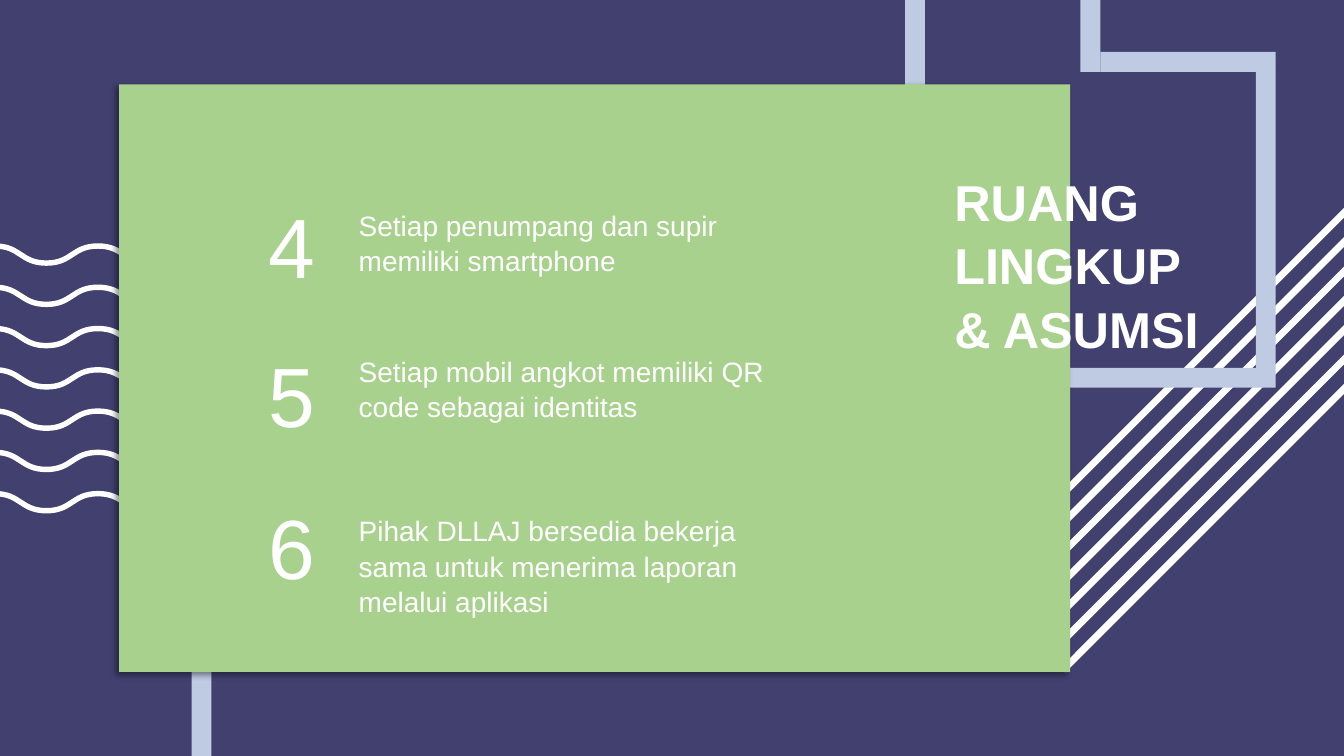
import lxml.etree
import pptx
import pptx.dml.color
import pptx.enum.shapes
import pptx.enum.text
import pptx.oxml.ns
import pptx.util

Cm = pptx.util.Cm
qn = pptx.oxml.ns.qn

NAVY = "42406F"
GREEN = "A9D18E"
PALE_BLUE = "BECBE3"
WHITE = "FFFFFF"
BAR = 0.5  # thickness of the pale bars, cm


def color(hex_value):
    return pptx.dml.color.RGBColor.from_string(hex_value)


def add_block(slide, left, top, width, height, fill):
    block = slide.shapes.add_shape(
        pptx.enum.shapes.MSO_SHAPE.RECTANGLE, Cm(left), Cm(top), Cm(width), Cm(height))
    block.shadow.inherit = False
    block.fill.solid()
    block.fill.fore_color.rgb = color(fill)
    block.line.fill.background()
    return block


def add_drop_shadow(shape):
    effects = shape._element.spPr.find(qn("a:effectLst"))
    outer = lxml.etree.SubElement(
        effects, qn("a:outerShdw"), blurRad=str(pptx.util.Pt(4)),
        dist=str(pptx.util.Pt(3)), dir=str(135 * 60000), algn="tr", rotWithShape="0")
    black = lxml.etree.SubElement(outer, qn("a:srgbClr"), val="000000")
    lxml.etree.SubElement(black, qn("a:alpha"), val="40000")


def add_stripe(slide, left, bottom, reach):
    """Draw a diagonal rising to the right at 45 degrees."""
    stripe = slide.shapes.add_connector(
        pptx.enum.shapes.MSO_CONNECTOR.STRAIGHT,
        Cm(left), Cm(bottom), Cm(left + reach), Cm(bottom - reach))
    stripe.line.color.rgb = color(WHITE)
    stripe.line.width = pptx.util.Pt(5)
    lxml.etree.SubElement(stripe._element.spPr, qn("a:effectLst"))


def add_wave(slide, left, top, half_wave, height, halves):
    """Draw a zigzag and bend each of its segments into an S-curve."""
    points = [(Cm(left + i * half_wave), Cm(top + i % 2 * height))
              for i in range(halves + 1)]
    builder = slide.shapes.build_freeform(*points[0])
    builder.add_line_segments(points[1:], close=False)
    wave = builder.convert_to_shape()
    wave.shadow.inherit = False
    wave.fill.background()
    wave.line.color.rgb = color(WHITE)
    wave.line.width = pptx.util.Pt(3.88)

    path = next(wave._element.iter(qn("a:path")))
    start_x, start_y = 0, 0
    for segment in path.findall(qn("a:lnTo")):
        end = segment[0]
        end_x, end_y = int(end.get("x")), int(end.get("y"))
        middle = (start_x + end_x) // 2
        curve = lxml.etree.Element(qn("a:cubicBezTo"))
        for x, y in ((middle, start_y), (middle, end_y), (end_x, end_y)):
            lxml.etree.SubElement(curve, qn("a:pt"), x=str(x), y=str(y))
        path.replace(segment, curve)
        start_x, start_y = end_x, end_y


def add_text(slide, text, left, top, width, height, size, bold=False,
             align=pptx.enum.text.PP_ALIGN.LEFT, wrap=True, bottom_inset=0.13):
    box = slide.shapes.add_textbox(Cm(left), Cm(top), Cm(width), Cm(height))
    frame = box.text_frame
    frame.word_wrap = wrap
    frame.auto_size = pptx.enum.text.MSO_AUTO_SIZE.SHAPE_TO_FIT_TEXT
    frame.margin_bottom = Cm(bottom_inset)
    frame.text = text
    for paragraph in frame.paragraphs:
        paragraph.alignment = align
        paragraph.line_spacing = 1.05
        paragraph.font.name = "Arial"
        paragraph.font.size = pptx.util.Pt(size)
        paragraph.font.bold = bold
        paragraph.font.color.rgb = color(WHITE)


def add_assumption(slide, number, number_top, text, text_top, text_height):
    add_text(slide, number, 5.6, number_top, 3.5, 2.69, 60,
             align=pptx.enum.text.PP_ALIGN.CENTER, bottom_inset=0)
    add_text(slide, text, 8.79, text_top, 10.85, text_height, 20)


def add_backdrop(slide):
    for i in range(7):
        add_stripe(slide, 24.57 + i * 0.37, 14.66 + i * 0.37, 9.75)
    for i, halves in enumerate((14, 14, 14, 12, 12, 10, 10)):
        add_wave(slide, -0.13, 6.2 + i * 1.04, 1.3, 0.43, halves)
    add_block(slide, 4.83, 9.17, BAR, 10, PALE_BLUE)
    add_block(slide, 25.22, 9.27, 6.43, BAR, PALE_BLUE)
    add_block(slide, 22.81, 0, BAR, 19.05, PALE_BLUE)
    add_block(slide, 22.17, 5, 2.41, 14.05, NAVY)


def add_title_frame(slide):
    left, right, top, bottom = 27.23, 31.65, 1.31, 9.27
    for x, y in ((left, top), (right, top), (right, bottom)):
        add_block(slide, x, y, BAR, BAR, PALE_BLUE)
    add_block(slide, left, 0, BAR, top, PALE_BLUE)
    add_block(slide, left + BAR, top, right - left - BAR, BAR, PALE_BLUE)
    add_block(slide, right, top + BAR, BAR, bottom - top - BAR, PALE_BLUE)


def main():
    deck = pptx.Presentation()
    deck.slide_width, deck.slide_height = Cm(33.87), Cm(19.05)
    slide = deck.slides.add_slide(deck.slide_layouts[6])
    slide.background.fill.solid()
    slide.background.fill.fore_color.rgb = color(NAVY)

    add_backdrop(slide)
    panel = add_block(slide, 3, 2.13, 23.97, 14.8, GREEN)
    add_drop_shadow(panel)
    add_title_frame(slide)

    add_text(slide, "RUANG\nLINGKUP\n& ASUMSI", 23.8, 4.11, 6.73, 4.75, 36,
             bold=True, wrap=False, bottom_inset=0)
    add_assumption(slide, "4", 4.65,
                   "Setiap penumpang dan supir memiliki smartphone", 5.08, 1.96)
    add_assumption(slide, "5", 8.41,
                   "Setiap mobil angkot memiliki QR code sebagai identitas", 8.76, 1.96)
    add_assumption(slide, "6", 12.24,
                   "Pihak DLLAJ bersedia bekerja sama untuk menerima laporan "
                   "melalui aplikasi", 12.78, 2.82)

    deck.save("out.pptx")


if __name__ == "__main__":
    main()
